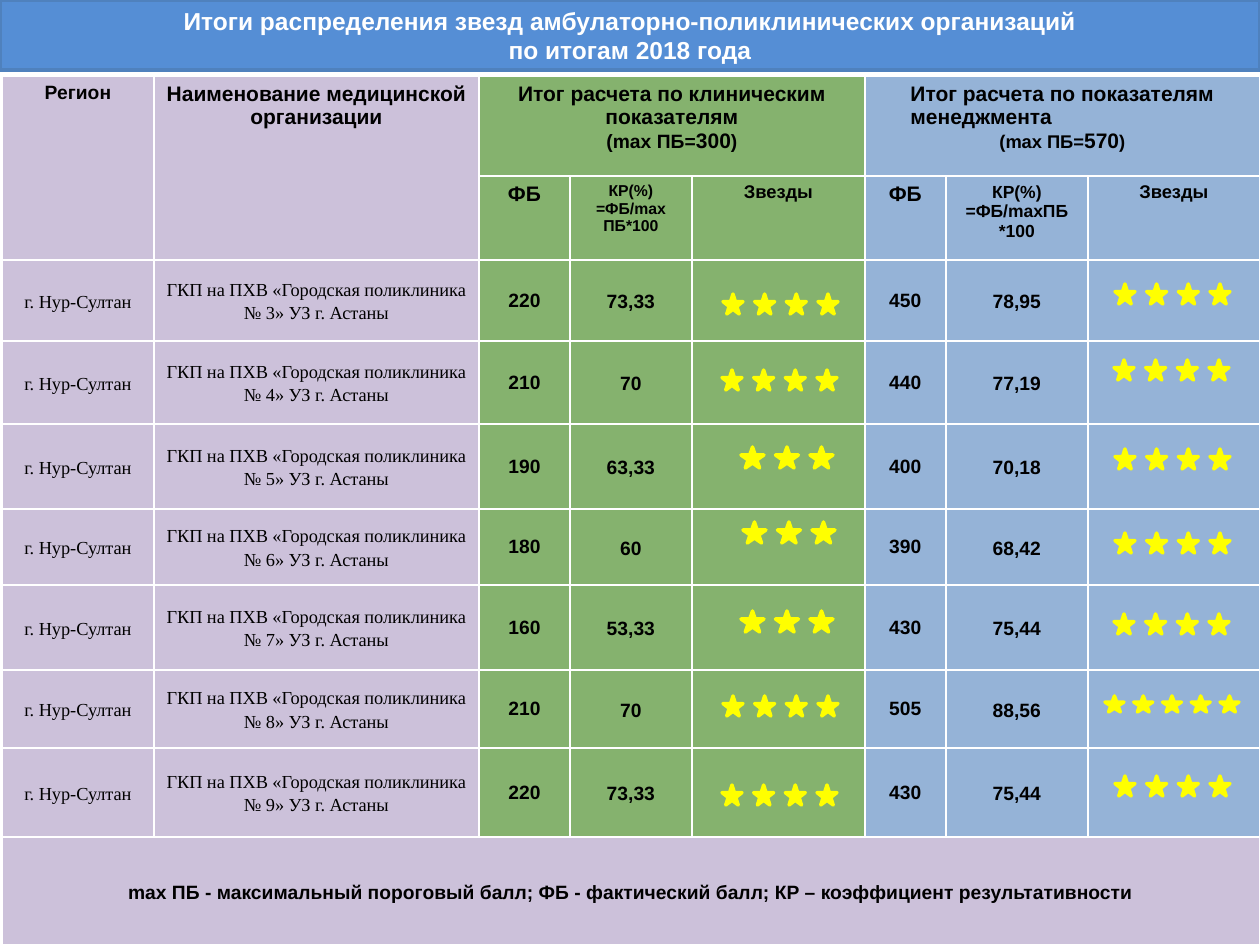
from lxml.etree import SubElement
from pptx import Presentation
from pptx.dml.color import RGBColor
from pptx.enum.shapes import MSO_SHAPE
from pptx.enum.text import MSO_ANCHOR, MSO_AUTO_SIZE, PP_ALIGN
from pptx.oxml.ns import qn
from pptx.util import Emu, Pt

EMU_PER_PX = 914400 / 126

WHITE = RGBColor(0xFF, 0xFF, 0xFF)
BLACK = RGBColor(0, 0, 0)
TITLE_BLUE = RGBColor(0x55, 0x8E, 0xD5)
TITLE_EDGE = RGBColor(0x4F, 0x81, 0xBD)
LILAC = RGBColor(0xCC, 0xC1, 0xDA)
GREEN = RGBColor(0x85, 0xB2, 0x6E)
BLUE = RGBColor(0x95, 0xB3, 0xD7)
YELLOW = RGBColor(0xFF, 0xFF, 0)

SANS, SERIF = "Arial", "Times New Roman"

TABLE_LEFT, TABLE_TOP = 2, 76
COLUMN_WIDTHS = [152, 325, 91, 122, 173, 81, 142, 172]
ROW_HEIGHTS = [100, 84, 81, 83, 85, 76, 85, 78, 89, 108]
COLUMN_FILLS = [LILAC] * 2 + [GREEN] * 3 + [BLUE] * 3

TITLE_LINES = ["Итоги распределения звезд амбулаторно-поликлинических организаций",
               "по итогам 2018 года"]
REGION = "г. Нур-Султан"
LEGEND = ("mах ПБ - максимальный пороговый балл; ФБ - фактический балл; "
          "КР – коэффициент результативности")

# Header cells: (row, column, paragraphs), each paragraph a list of (text, size)
HEADERS = [
    (0, 0, [[("Регион", 11)]]),
    (0, 1, [[("Наименование медицинской организации", 12)]]),
    (0, 2, [[("Итог расчета по клиническим показателям", 12)],
            [("(mах ПБ=", 11), ("300", 12), (")", 11)]]),
    (0, 5, [[("Итог расчета по показателям менеджмента", 12)],
            [("(mах ПБ=", 10.5), ("570", 12), (")", 10.5)]]),
    (1, 2, [[("ФБ", 12)]]),
    (1, 3, [[("КР(%)", 9)], [("=ФБ/mах ПБ*100", 9)]]),
    (1, 4, [[("Звезды", 10.5)]]),
    (1, 5, [[("ФБ", 12)]]),
    (1, 6, [[("КР(%)", 10)], [("=ФБ/mахПБ *100", 10)]]),
    (1, 7, [[("Звезды", 10.5)]]),
]

# Clinic number, then score, ratio and stars (count, left, top) for each block
CLINICS = [
    (3, ("220", "73,33", (4, 723, 294)), ("450", "78,95", (4, 1115, 284))),
    (4, ("210", "70", (4, 722, 370)), ("440", "77,19", (4, 1114, 360))),
    (5, ("190", "63,33", (3, 741, 447)), ("400", "70,18", (4, 1115, 449))),
    (6, ("180", "60", (3, 743, 522)), ("390", "68,42", (4, 1115, 533))),
    (7, ("160", "53,33", (3, 741, 611)), ("430", "75,44", (4, 1114, 614))),
    (8, ("210", "70", (4, 723, 696)), ("505", "88,56", (5, 1105, 696))),
    (9, ("220", "73,33", (4, 722, 785)), ("430", "75,44", (4, 1115, 776))),
]

# Star count: distance from first to last star, star width, star height
STAR_ROWS = {3: (69, 23, 21), 4: (95, 20, 20), 5: (115, 19, 16)}


def px(length):
    return Emu(round(length * EMU_PER_PX))


def add_run(paragraph, text, size, font=SANS, bold=True, color=BLACK):
    run = paragraph.add_run()
    run.text = text
    run.font.size = Pt(size)
    run.font.name = font
    run.font.bold = bold
    run.font.color.rgb = color


def write_cell(cell, paragraphs, font=SANS, bold=True, spacing=None):
    frame = cell.text_frame
    for index, runs in enumerate(paragraphs):
        paragraph = frame.add_paragraph() if index else frame.paragraphs[0]
        paragraph.alignment = PP_ALIGN.CENTER
        if spacing:
            paragraph.line_spacing = spacing
        for text, size in runs:
            add_run(paragraph, text, size, font, bold)


def write_body(cell, lines, size=11, font=SANS, bold=True, spacing=1.15, side=9):
    cell.vertical_anchor = MSO_ANCHOR.MIDDLE
    cell.margin_left = cell.margin_right = px(side)
    cell.margin_top = cell.margin_bottom = 0
    write_cell(cell, [[(line, size)] for line in lines], font, bold, spacing)


def style_cell(cell, fill):
    properties = cell._tc.get_or_add_tcPr()
    for edge in ("a:lnL", "a:lnR", "a:lnT", "a:lnB"):
        line = SubElement(properties, qn(edge), w=str(Pt(1)))
        solid = SubElement(line, qn("a:solidFill"))
        SubElement(solid, qn("a:srgbClr"), val=str(WHITE))
    cell.fill.solid()
    cell.fill.fore_color.rgb = fill


def add_title(slide):
    title = slide.shapes.title
    title.left, title.top, title.width, title.height = 0, 0, px(1260), px(70)
    title.fill.solid()
    title.fill.fore_color.rgb = TITLE_BLUE
    title.line.color.rgb = TITLE_EDGE
    title.line.width = Pt(2)
    frame = title.text_frame
    frame.auto_size = MSO_AUTO_SIZE.NONE
    frame.vertical_anchor = MSO_ANCHOR.MIDDLE
    paragraph = frame.paragraphs[0]
    paragraph.alignment = PP_ALIGN.CENTER
    for index, line in enumerate(TITLE_LINES):
        if index:
            paragraph.add_line_break()
        add_run(paragraph, line, 14, color=WHITE)


def add_results_table(slide):
    table = slide.shapes.add_table(
        len(ROW_HEIGHTS), len(COLUMN_WIDTHS), px(TABLE_LEFT), px(TABLE_TOP),
        px(sum(COLUMN_WIDTHS)), px(sum(ROW_HEIGHTS))).table
    table.first_row = table.horz_banding = False
    for column, width in zip(table.columns, COLUMN_WIDTHS):
        column.width = px(width)
    for row, height in zip(table.rows, ROW_HEIGHTS):
        row.height = px(height)

    legend_row = len(ROW_HEIGHTS) - 1
    for row in range(len(ROW_HEIGHTS)):
        for column, fill in enumerate(COLUMN_FILLS):
            style_cell(table.cell(row, column), LILAC if row == legend_row else fill)

    # Header
    for first, last in [((0, 0), (1, 0)), ((0, 1), (1, 1)), ((0, 2), (0, 4)),
                        ((0, 5), (0, 7)), ((legend_row, 0), (legend_row, 7))]:
        table.cell(*first).merge(table.cell(*last))
    for row, column, paragraphs in HEADERS:
        write_cell(table.cell(row, column), paragraphs)
    management = table.cell(0, 5).text_frame.paragraphs[0]
    management.alignment = PP_ALIGN.LEFT
    management._p.get_or_add_pPr().set("marL", str(px(33)))

    # Clinics
    for row, (number, *blocks) in enumerate(CLINICS, start=2):
        name = ["ГКП на ПХВ «Городская поликлиника", f"№ {number}» УЗ г. Астаны"]
        for column, lines in enumerate([[REGION], name]):
            write_body(table.cell(row, column), lines, 10.5, SERIF, False)
        for column, (score, ratio, _) in zip((2, 5), blocks):
            write_body(table.cell(row, column), [score], spacing=None, side=1)
            write_body(table.cell(row, column + 1), [ratio])

    write_body(table.cell(legend_row, 0), [LEGEND])


def add_stars(slide, count, left, top):
    span, width, height = STAR_ROWS[count]
    group = slide.shapes.add_group_shape()
    for index in range(count):
        star = group.shapes.add_shape(
            MSO_SHAPE.STAR_5_POINT, px(left + index * span / (count - 1)), px(top),
            px(width), px(height))
        star.shadow.inherit = False
        star.fill.solid()
        star.fill.fore_color.rgb = YELLOW
        star.line.color.rgb = YELLOW
        star.line.width = Pt(2)


def main():
    presentation = Presentation()
    presentation.slide_width, presentation.slide_height = px(1260), px(945)
    slide = presentation.slides.add_slide(presentation.slide_layouts[5])
    add_title(slide)
    add_results_table(slide)
    for _, *blocks in CLINICS:
        for _, _, stars in blocks:
            add_stars(slide, *stars)
    presentation.save("out.pptx")


if __name__ == "__main__":
    main()
